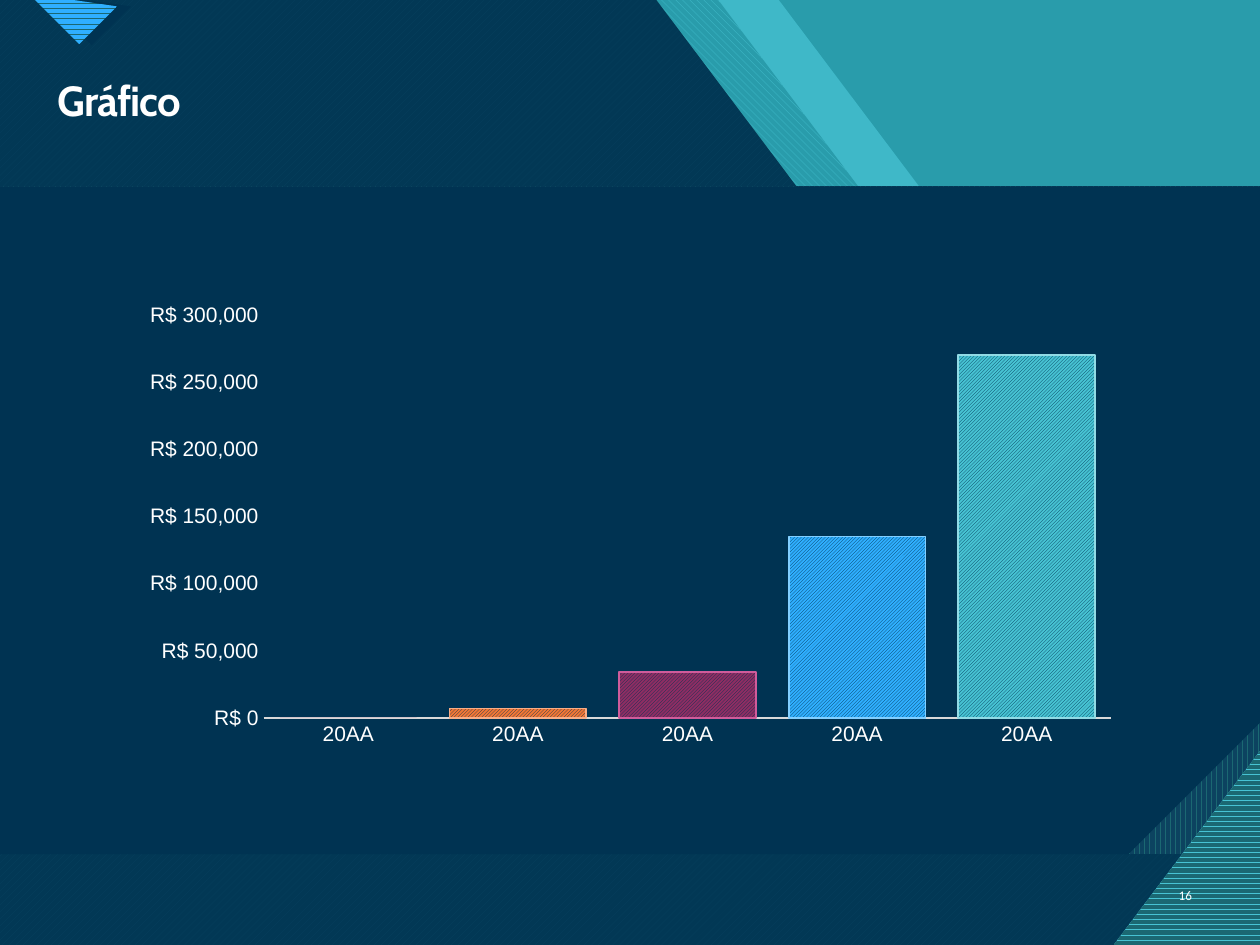
from dataclasses import dataclass
from typing import Optional

from lxml.etree import SubElement
from pptx import Presentation
from pptx.chart.data import CategoryChartData
from pptx.dml.color import RGBColor
from pptx.enum.chart import XL_CHART_TYPE, XL_TICK_MARK
from pptx.enum.dml import MSO_PATTERN
from pptx.enum.shapes import MSO_SHAPE
from pptx.enum.text import MSO_ANCHOR, PP_ALIGN
from pptx.oxml.ns import qn
from pptx.util import Cm, Pt

WIDTH, HEIGHT = 25.4, 19.05
NAVY, TEAL, AQUA, DEEP = "003352", "299CAB", "47C3D3", "1B6872"
BLUE, WHITE = "2FAFFF", "FFFFFF"


@dataclass(frozen=True)
class Paint:
    """A solid colour with optional opacity, or a pattern of two colours."""
    color: str
    back: str = ""
    pattern: Optional[MSO_PATTERN] = None
    opacity: int = 100


@dataclass(frozen=True)
class Panel:
    """A filled polygon with its corners in centimetres."""
    corners: tuple
    paint: Paint


@dataclass(frozen=True)
class Label:
    """A single-line text box."""
    text: str
    box: tuple
    font: str
    size: float
    bold: bool = False
    spacing: float = 0
    align: PP_ALIGN = PP_ALIGN.LEFT
    anchor: MSO_ANCHOR = MSO_ANCHOR.TOP


@dataclass(frozen=True)
class Bar:
    """One column of the chart."""
    value: int
    color: str
    edge: str


NAVY_AREA = ((0, 0), (13.23, 0), (18.9, 7.54), (21.31, 7.54), (WIDTH, 13.03), (WIDTH, HEIGHT), (0, HEIGHT))
BACKDROP = (
    Panel(((0, 0), (WIDTH, 0), (WIDTH, HEIGHT), (0, HEIGHT)), Paint(TEAL)),
    Panel(((0, 0), (15.7, 0), (21.39, 7.56), (23.52, 7.56), (WIDTH, 10.08), (WIDTH, HEIGHT), (0, HEIGHT)),
          Paint(AQUA, opacity=74)),
    Panel(((0, 0), (14.48, 0), (20.14, 7.54), (22.56, 7.54), (WIDTH, 11.35), (WIDTH, HEIGHT), (0, HEIGHT)),
          Paint(AQUA, TEAL, MSO_PATTERN.WIDE_DOWNWARD_DIAGONAL)),
    Panel(NAVY_AREA, Paint(AQUA, DEEP, MSO_PATTERN.WIDE_UPWARD_DIAGONAL)),
    Panel(NAVY_AREA, Paint(NAVY, opacity=90)),
    Panel(((0.91, 0), (1.71, 0), (2.64, 0.13), (1.85, 0.91)), Paint(NAVY)),
    Panel(((0.71, 0), (1.47, 0), (2.36, 0.13), (1.6, 0.89)),
          Paint(BLUE, DEEP, MSO_PATTERN.DARK_HORIZONTAL)),
)
CORNER = Panel(((22.45, HEIGHT), (WIDTH, HEIGHT), (WIDTH, 15.14)),
               Paint(DEEP, AQUA, MSO_PATTERN.DARK_HORIZONTAL))
BAND_BOX = (0, 3.76, WIDTH, 13.46)
BANDS = (
    (0, Paint("0C4360", DEEP, MSO_PATTERN.DARK_VERTICAL)),
    (0.197, Paint(NAVY)),
)
LABELS = (
    Label("Gráfico", (0.91, 1.5, 23.37, 1.17), "Cabin", 24, bold=True, spacing=-0.5),
    Label("16", (23.44, 17.55, 0.84, 1.02), "Calibri", 7.5,
          align=PP_ALIGN.RIGHT, anchor=MSO_ANCHOR.MIDDLE),
)
CHART_BOX = (2.62, 5.94, 20.19, 9.27)
BARS = (
    Bar(0, "8F2D63", "8F2D63"),
    Bar(7000, "F47735", "F8AD86"),
    Bar(34000, "8F2D63", "CF5C9B"),
    Bar(135000, BLUE, "82CFFF"),
    Bar(270000, AQUA, "91DBE5"),
)


def rgb(color: str) -> RGBColor:
    """Turn a hex string into a colour."""
    return RGBColor.from_string(color)


def apply_paint(fill, paint: Paint) -> None:
    """Set a fill to a solid colour or a pattern."""
    if paint.pattern is None:
        fill.solid()
        fill.fore_color.rgb = rgb(paint.color)
    else:
        fill.patterned()
        fill.pattern = paint.pattern
        fill.fore_color.rgb = rgb(paint.color)
        fill.back_color.rgb = rgb(paint.back)


def finish_shape(shape, paint: Paint) -> None:
    """Paint a shape, without outline or shadow."""
    shape.shadow.inherit = False
    shape.line.fill.background()
    apply_paint(shape.fill, paint)
    if paint.opacity < 100:
        color = shape.element.spPr.find(qn("a:solidFill")).find(qn("a:srgbClr"))
        SubElement(color, qn("a:alpha")).set("val", str(paint.opacity * 1000))


def draw_panel(page, panel: Panel) -> None:
    """Draw a closed polygon."""
    points = [(Cm(x), Cm(y)) for x, y in panel.corners]
    builder = page.shapes.build_freeform(*points[0])
    builder.add_line_segments(points[1:], close=True)
    finish_shape(builder.convert_to_shape(), panel.paint)


def draw_band(page, snip: float, paint: Paint) -> None:
    """Draw the central band with its lower right corner snipped."""
    band = page.shapes.add_shape(MSO_SHAPE.SNIP_1_RECTANGLE, *map(Cm, BAND_BOX))
    band.adjustments[0] = snip
    band.element.spPr.find(qn("a:xfrm")).set("flipV", "1")
    finish_shape(band, paint)


def draw_label(page, label: Label) -> None:
    """Draw a text box with one run."""
    frame = page.shapes.add_textbox(*map(Cm, label.box)).text_frame
    frame.word_wrap = True
    frame.vertical_anchor = label.anchor
    para = frame.paragraphs[0]
    para.alignment = label.align
    para.line_spacing = 0.9
    span = para.add_run()
    span.text = label.text
    span.font.name = label.font
    span.font.size = Pt(label.size)
    span.font.bold = label.bold
    span.font.color.rgb = rgb(WHITE)
    if label.spacing:
        span.font._element.set("spc", str(int(label.spacing * 100)))


def style_axis(axis) -> None:
    """Give an axis white labels and no ticks or gridlines."""
    axis.has_major_gridlines = False
    axis.major_tick_mark = axis.minor_tick_mark = XL_TICK_MARK.NONE
    font = axis.tick_labels.font
    font.name, font.size = "Arial", Pt(12)
    font.color.rgb = rgb(WHITE)


def draw_chart(page) -> None:
    """Draw the column chart with hatched bars."""
    data = CategoryChartData()
    data.categories = ["20AA"] * len(BARS)
    data.add_series("Series 1", [bar.value for bar in BARS])
    chart = page.shapes.add_chart(XL_CHART_TYPE.COLUMN_CLUSTERED, *map(Cm, CHART_BOX), data).chart
    chart.has_legend = chart.has_title = False
    chart.font.name, chart.font.size = "Arial", Pt(10)
    style_axis(chart.category_axis)
    style_axis(chart.value_axis)
    chart.category_axis.format.line.color.rgb = rgb("D9D9D9")
    chart.category_axis.format.line.width = Pt(0.75)
    values = chart.value_axis
    values.format.line.fill.background()
    values.minimum_scale, values.maximum_scale, values.major_unit = 0, 300000, 50000
    values.tick_labels.number_format = '"R$"\\ #,##0'
    values.tick_labels.number_format_is_linked = False
    plot = chart.plots[0]
    plot.gap_width = 24
    plot.vary_by_categories = False
    series = plot.series[0]
    apply_paint(series.format.fill, Paint(BARS[0].color))
    for index, bar in enumerate(BARS[1:], start=1):
        look = series.points[index].format
        apply_paint(look.fill, Paint(NAVY, bar.color, MSO_PATTERN.LIGHT_UPWARD_DIAGONAL))
        look.line.color.rgb = rgb(bar.edge)
        look.line.width = Pt(1)


def main() -> None:
    """Build the slide and save the deck."""
    deck = Presentation()
    deck.slide_width, deck.slide_height = Cm(WIDTH), Cm(HEIGHT)
    page = deck.slides.add_slide(deck.slide_layouts[6])
    apply_paint(page.background.fill, Paint(AQUA))
    for panel in BACKDROP:
        draw_panel(page, panel)
    for snip, paint in BANDS:
        draw_band(page, snip, paint)
    draw_panel(page, CORNER)
    draw_chart(page)
    for label in LABELS:
        draw_label(page, label)
    deck.save("out.pptx")


if __name__ == "__main__":
    main()
